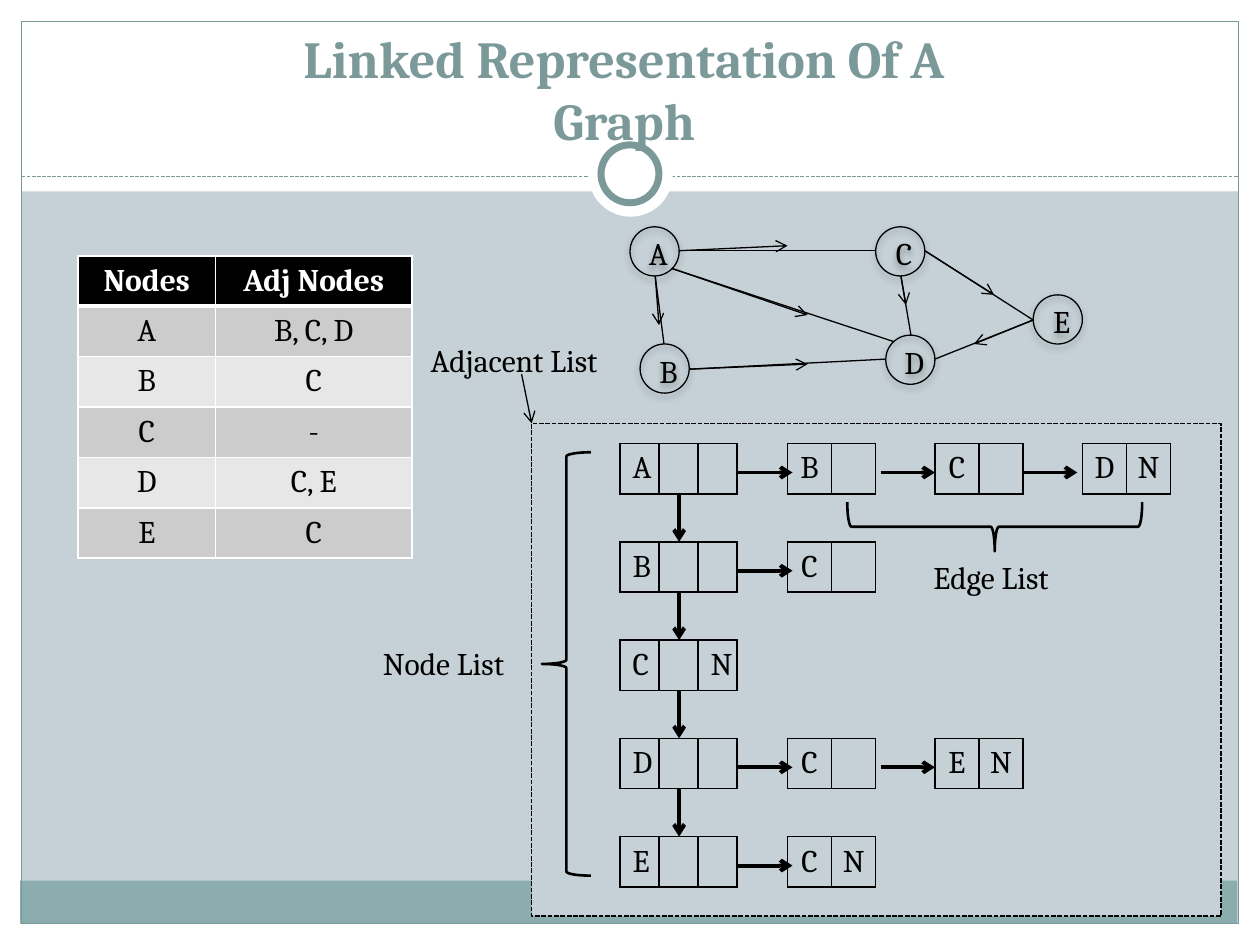
from lxml import etree
from pptx import Presentation
from pptx.dml.color import RGBColor
from pptx.enum.dml import MSO_LINE
from pptx.enum.shapes import MSO_CONNECTOR, MSO_SHAPE
from pptx.enum.text import MSO_ANCHOR, MSO_AUTO_SIZE, PP_ALIGN
from pptx.oxml import parse_xml
from pptx.oxml.ns import nsdecls, qn
from pptx.util import Inches, Pt

RECT, OVAL, BRACE = MSO_SHAPE.RECTANGLE, MSO_SHAPE.OVAL, MSO_SHAPE.LEFT_BRACE
STRAIGHT, DASH = MSO_CONNECTOR.STRAIGHT, MSO_LINE.SQUARE_DOT
LEFT, CENTER = PP_ALIGN.LEFT, PP_ALIGN.CENTER
MIDDLE, BOTTOM = MSO_ANCHOR.MIDDLE, MSO_ANCHOR.BOTTOM
FIT, NO_FIT = MSO_AUTO_SIZE.SHAPE_TO_FIT_TEXT, MSO_AUTO_SIZE.NONE

BLACK = RGBColor(0x00, 0x00, 0x00)
WHITE = RGBColor(0xFF, 0xFF, 0xFF)
MIST = RGBColor(0xC5, 0xD1, 0xD7)
TEAL = RGBColor(0x7C, 0x99, 0x9A)
BAND = RGBColor(0x8C, 0xAD, 0xAE)
DARK_ROW = RGBColor(0xCC, 0xCC, 0xCC)
LIGHT_ROW = RGBColor(0xE7, 0xE7, 0xE7)

SHADOW = (
    f'<a:effectLst {nsdecls("a")}><a:outerShdw blurRad="{Pt(4)}" dist="{Pt(2)}" '
    'dir="5400000" rotWithShape="0"><a:srgbClr val="000000"><a:alpha val="35000"/>'
    '</a:srgbClr></a:outerShdw></a:effectLst>'
)


class GraphSlide:
    font_name = "Cambria"
    font_size = 18

    def __init__(self, deck):
        self.page = deck.slides.add_slide(deck.slide_layouts[5])
        self.page.background.fill.solid()
        self.page.background.fill.fore_color.rgb = MIST

    def add_text(self, frame, text, align=LEFT, color=BLACK, size=None, bold=False):
        para = frame.paragraphs[0]
        para.alignment = align
        span = para.add_run()
        span.text = text
        span.font.name = self.font_name
        span.font.size = Pt(size or self.font_size)
        span.font.bold = bold
        span.font.color.rgb = color

    def shape(self, kind, left, top, width, height, fill=None, line=None, weight=0.75, dash=None):
        box = self.page.shapes.add_shape(
            kind, Inches(left), Inches(top), Inches(width), Inches(height))
        box.shadow.inherit = False
        if fill is None:
            box.fill.background()
        else:
            box.fill.solid()
            box.fill.fore_color.rgb = fill
        if line is None:
            box.line.fill.background()
        else:
            box.line.color.rgb = line
            box.line.width = Pt(weight)
            if dash:
                box.line.dash_style = dash
        return box

    def line(self, start, end, weight=0.75, color=BLACK, dash=None, arrow=False):
        link = self.page.shapes.add_connector(
            STRAIGHT, *(Inches(value) for value in (*start, *end)))
        link.line.color.rgb = color
        link.line.width = Pt(weight)
        if dash:
            link.line.dash_style = dash
        if arrow:
            etree.SubElement(link.get_or_add_ln(), qn("a:tailEnd"), type="arrow")
        etree.SubElement(link.element.spPr, qn("a:effectLst"))

    def title(self, text, left, top, width, height):
        box = self.page.shapes.title
        box.element.getparent().append(box.element)
        box.left, box.top = Inches(left), Inches(top)
        box.width, box.height = Inches(width), Inches(height)
        frame = box.text_frame
        frame.word_wrap = True
        frame.auto_size = NO_FIT
        frame.vertical_anchor = BOTTOM
        self.add_text(frame, text, CENTER, TEAL, 29.7, True)

    def node(self, name, left, top):
        box = self.shape(OVAL, left, top, 0.39, 0.39, line=BLACK)
        properties = box.element.spPr
        properties.replace(properties.find(qn("a:effectLst")), parse_xml(SHADOW))
        frame = box.text_frame
        frame.word_wrap = False
        frame.vertical_anchor = MIDDLE
        frame.margin_left, frame.margin_top = Inches(0.06), Inches(0.03)
        frame.margin_right = frame.margin_bottom = 0
        self.add_text(frame, name, CENTER)

    def label(self, text, left, top, width):
        box = self.page.shapes.add_textbox(
            Inches(left), Inches(top), Inches(width), Inches(0.4))
        box.text_frame.word_wrap = False
        box.text_frame.auto_size = FIT
        self.add_text(box.text_frame, text)

    def borders(self, cell, color, bottom=1):
        properties = cell._tc.get_or_add_tcPr()
        for side, weight in (("L", 1), ("R", 1), ("T", 1), ("B", bottom)):
            edge = etree.SubElement(properties, qn(f"a:ln{side}"), w=str(Pt(weight)))
            fill = etree.SubElement(edge, qn("a:solidFill"))
            etree.SubElement(fill, qn("a:srgbClr"), val=str(color))

    def table(self, rows, left, top, widths):
        height = Inches(0.4)
        table = self.page.shapes.add_table(
            len(rows), len(widths), Inches(left), Inches(top),
            Inches(sum(widths)), height * len(rows)).table
        table.first_row = table.horz_banding = False
        for column, width in zip(table.columns, widths):
            column.width = Inches(width)
        for row in table.rows:
            row.height = height
        for cell in table.iter_cells():
            cell.margin_top = cell.margin_bottom = Inches(0.04)
            cell.vertical_anchor = MIDDLE
        return table

    def adjacency_table(self, rows, left, top, widths):
        table = self.table(rows, left, top, widths)
        for index, texts in enumerate(rows):
            header = index == 0
            fill = BLACK if header else (LIGHT_ROW, DARK_ROW)[index % 2]
            for column, text in enumerate(texts):
                cell = table.cell(index, column)
                self.borders(cell, WHITE, 3 if header else 1)
                cell.fill.solid()
                cell.fill.fore_color.rgb = fill
                self.add_text(cell.text_frame, text, CENTER, WHITE if header else BLACK, bold=header)

    def record(self, texts, left, top, width, align, inset):
        table = self.table([texts], left, top, [width] * len(texts))
        for column, text in enumerate(texts):
            cell = table.cell(0, column)
            cell.margin_left, cell.margin_right = Inches(inset), Inches(0.03)
            self.borders(cell, BLACK)
            cell.fill.background()
            if text:
                self.add_text(cell.text_frame, text, align)


def main():
    deck = Presentation()
    deck.slide_width, deck.slide_height = Inches(10), Inches(7.5)
    slide = GraphSlide(deck)

    for frame_side in ((0, 7.33, 10, 0.17), (0, 0, 10, 1.52), (0, 0, 0.17, 7.5), (9.83, 0, 0.17, 7.5)):
        slide.shape(RECT, *frame_side, fill=WHITE)
    slide.shape(RECT, 0.16, 6.99, 9.66, 0.34, fill=BAND)
    slide.shape(RECT, 0.17, 0.17, 9.66, 7.16, line=TEAL)
    slide.line((0.17, 1.4), (9.83, 1.4), color=TEAL, dash=DASH)
    slide.shape(OVAL, 4.67, 1.05, 0.67, 0.67, fill=WHITE)
    slide.shape(OVAL, 4.77, 1.15, 0.46, 0.46, fill=WHITE, line=TEAL, weight=4)
    slide.shape(RECT, 4.22, 3.36, 5.47, 3.91, fill=MIST, line=BLACK, weight=0.9, dash=DASH)
    slide.title("Linked Representation Of A Graph", 1.87, 0.55, 6.17, 0.7)

    nodes = (("A", 5, 1.8), ("D", 7.03, 2.66), ("C", 6.95, 1.8), ("B", 5.08, 2.73), ("E", 8.2, 2.34))
    for node in nodes:
        slide.node(*node)
    edges = (
        ((5.33, 2.13), (6.41, 2.5), (7.09, 2.71)),
        ((5.47, 2.93), (6.41, 2.89), (7.03, 2.85)),
        ((5.39, 1.99), (6.25, 1.95), (6.95, 1.99)),
        ((5.2, 2.19), (5.23, 2.58), (5.27, 2.73)),
        ((7.15, 2.19), (7.19, 2.42), (7.23, 2.66)),
        ((7.34, 1.99), (7.89, 2.34), (8.2, 2.54)),
        ((8.2, 2.54), (7.73, 2.73), (7.42, 2.85)),
    )
    for start, arrow_tip, end in edges:
        slide.line(start, end)
        slide.line(start, arrow_tip, arrow=True)

    adjacency = (("Nodes", "Adj Nodes"), ("A", "B, C, D"), ("B", "C"), ("C", "-"), ("D", "C, E"), ("E", "C"))
    slide.adjacency_table(adjacency, 0.62, 2.03, (1.09, 1.56))

    linked_rows = (
        (("A", "", ""), (("B", ""), ("C", ""), ("D", "N"))),
        (("B", "", ""), (("C", ""),)),
        (("C", "", "N"), ()),
        (("D", "", ""), (("C", ""), ("E", "N"))),
        (("E", "", ""), (("C", "N"),)),
    )
    for index, (head, neighbours) in enumerate(linked_rows):
        top = 3.52 + 0.78 * index
        slide.record(head, 4.92, top, 0.31, LEFT, 0.1)
        for step, neighbour in enumerate(neighbours):
            slide.record(neighbour, 6.25 + 1.17 * step, top, 0.35, CENTER, 0.03)
            start = 5.86 + 1.13 * step
            slide.line((start, top + 0.23), (start + 0.43, top + 0.23), 2.25, arrow=True)
        if index:
            slide.line((5.39, top - 0.38), (5.39, top), 2.25, arrow=True)

    slide.shape(BRACE, 4.3, 3.59, 0.39, 3.36, line=BLACK, weight=1.5)
    slide.shape(BRACE, 7.7, 3.01, 0.39, 2.34, line=BLACK, weight=1.5).rotation = 270
    slide.label("Node List", 2.94, 5.06, 1.28)
    slide.label("Edge List", 7.31, 4.38, 1.25)
    slide.label("Adjacent List", 3.32, 2.66, 1.68)
    slide.line((4.14, 2.97), (4.22, 3.36), arrow=True)

    deck.save("out.pptx")


if __name__ == "__main__":
    main()
